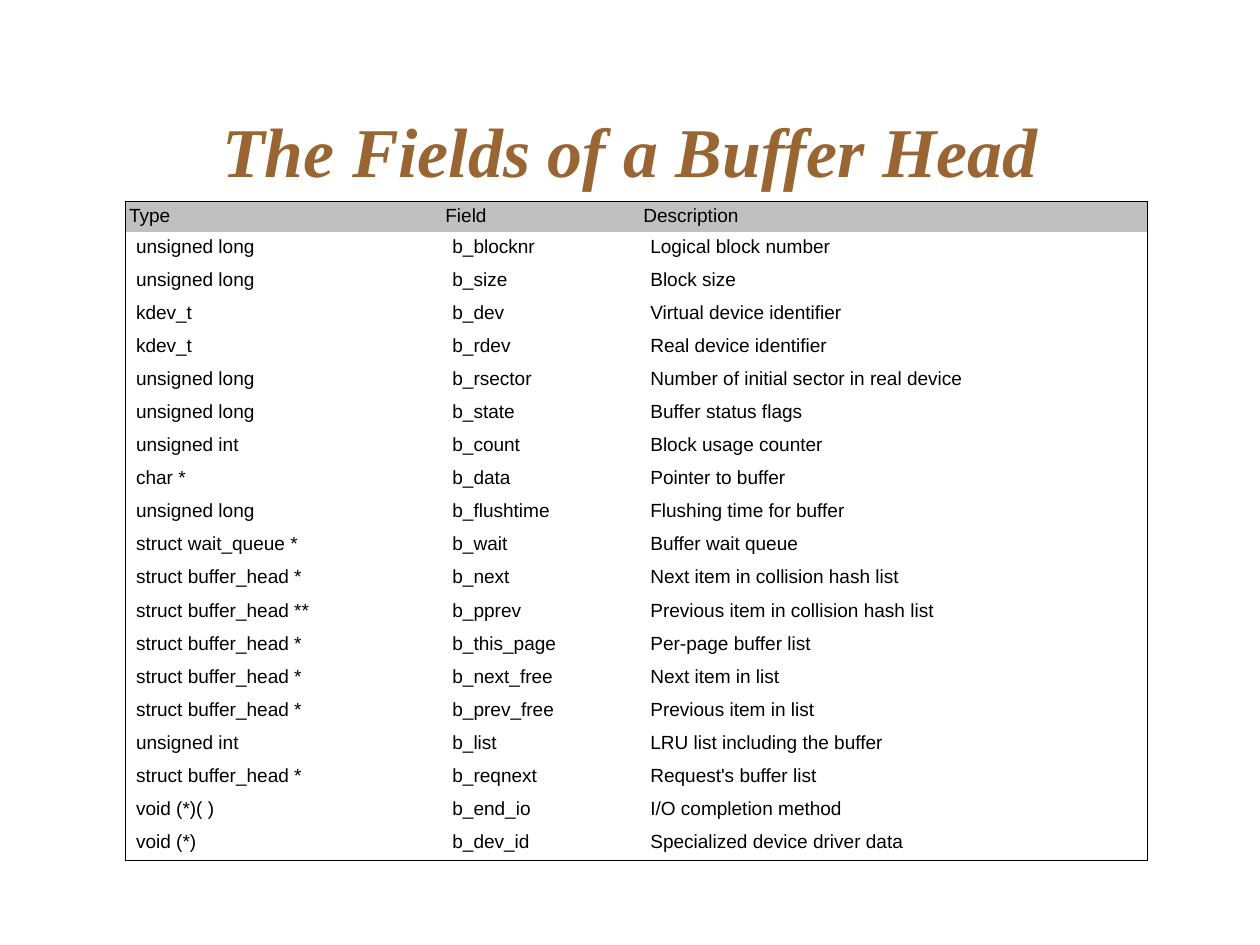
from lxml import etree
from pptx import Presentation
from pptx.dml.color import RGBColor
from pptx.enum.text import MSO_ANCHOR, MSO_AUTO_SIZE, PP_ALIGN
from pptx.oxml.ns import qn
from pptx.util import Pt

MIDDLE = MSO_ANCHOR.MIDDLE
TOP = MSO_ANCHOR.TOP
FIXED = MSO_AUTO_SIZE.NONE
CENTER = PP_ALIGN.CENTER
LEFT = PP_ALIGN.LEFT

PLAIN = "{2D5ABB26-0587-4C30-8999-92F81FD0307C}"
BLACK = "000000"
GREY = "C0C0C0"
BROWN = "996633"
SPACING = 0.93
BORDER = 0.06
WIDTHS = (199.3, 124.7, 320.4)
HEAD = 18.9
BODY = 20.85

FIELDS = [
    ("Type", "Field", "Description"),
    ("unsigned long", "b_blocknr", "Logical block number"),
    ("unsigned long", "b_size", "Block size"),
    ("kdev_t", "b_dev", "Virtual device identifier"),
    ("kdev_t", "b_rdev", "Real device identifier"),
    ("unsigned long", "b_rsector", "Number of initial sector in real device"),
    ("unsigned long", "b_state", "Buffer status flags"),
    ("unsigned int", "b_count", "Block usage counter"),
    ("char *", "b_data", "Pointer to buffer"),
    ("unsigned long", "b_flushtime", "Flushing time for buffer"),
    ("struct wait_queue *", "b_wait", "Buffer wait queue"),
    ("struct buffer_head *", "b_next", "Next item in collision hash list"),
    ("struct buffer_head **", "b_pprev", "Previous item in collision hash list"),
    ("struct buffer_head *", "b_this_page", "Per-page buffer list"),
    ("struct buffer_head *", "b_next_free", "Next item in list"),
    ("struct buffer_head *", "b_prev_free", "Previous item in list"),
    ("unsigned int", "b_list", "LRU list including the buffer"),
    ("struct buffer_head *", "b_reqnext", "Request's buffer list"),
    ("void (*)( )", "b_end_io", "I/O completion method"),
    ("void (*)", "b_dev_id", "Specialized device driver data"),
]


def color(code):
    return RGBColor.from_string(code)


def write(frame, text, font, size, code, align, strong=False):
    para = frame.paragraphs[0]
    para.text = text
    para.alignment = align
    para.line_spacing = SPACING
    para.font.name = font
    para.font.size = Pt(size)
    para.font.bold = strong
    para.font.italic = strong
    para.font.color.rgb = color(code)


def add_title(slide, text):
    title = slide.shapes.title
    title.left, title.top = Pt(56.9), Pt(46.1)
    title.width, title.height = Pt(680.4), Pt(99.4)
    frame = title.text_frame
    frame.auto_size = FIXED
    frame.vertical_anchor = MIDDLE
    frame.margin_left = frame.margin_right = frame.margin_bottom = 0
    frame.margin_top = Pt(2.9)
    write(frame, text, "Times New Roman", 44, BROWN, CENTER, True)


def add_edge(cell, side):
    props = cell._tc.get_or_add_tcPr()
    line = etree.SubElement(props, qn("a:ln" + side), w=str(Pt(BORDER)))
    fill = etree.SubElement(line, qn("a:solidFill"))
    etree.SubElement(fill, qn("a:srgbClr"), val=BLACK)


def fill_cell(cell, text, head, sides):
    for side in sides:
        add_edge(cell, side)
    if head:
        cell.fill.solid()
        cell.fill.fore_color.rgb = color(GREY)
    else:
        cell.fill.background()
    cell.vertical_anchor = TOP
    cell.margin_left = cell.margin_right = Pt(2.8 if head else 7.2)
    cell.margin_top = cell.margin_bottom = Pt(3.25 if head else 3.6)
    write(cell.text_frame, text, "Arial", 12, BLACK, LEFT)


def add_grid(slide, rows):
    last = len(rows) - 1
    end = len(WIDTHS) - 1
    frame = slide.shapes.add_table(
        len(rows), len(WIDTHS), Pt(78.5), Pt(126.9),
        Pt(sum(WIDTHS)), Pt(HEAD + last * BODY))
    table = frame.table
    table._tbl.tblPr.find(qn("a:tableStyleId")).text = PLAIN
    table.first_row = True
    table.horz_banding = False
    for column, width in zip(table.columns, WIDTHS):
        column.width = Pt(width)
    for r, texts in enumerate(rows):
        table.rows[r].height = Pt(BODY if r else HEAD)
        for c, text in enumerate(texts):
            edges = {"L": c == 0, "R": c == end, "T": r == 0, "B": r == last}
            sides = [side for side, drawn in edges.items() if drawn]
            fill_cell(table.cell(r, c), text, r == 0, sides)


def main():
    deck = Presentation()
    deck.slide_width, deck.slide_height = Pt(793.7), Pt(595.3)
    slide = deck.slides.add_slide(deck.slide_layouts[5])
    add_title(slide, "The Fields of a Buffer Head")
    add_grid(slide, FIELDS)
    deck.save("out.pptx")


if __name__ == "__main__":
    main()
